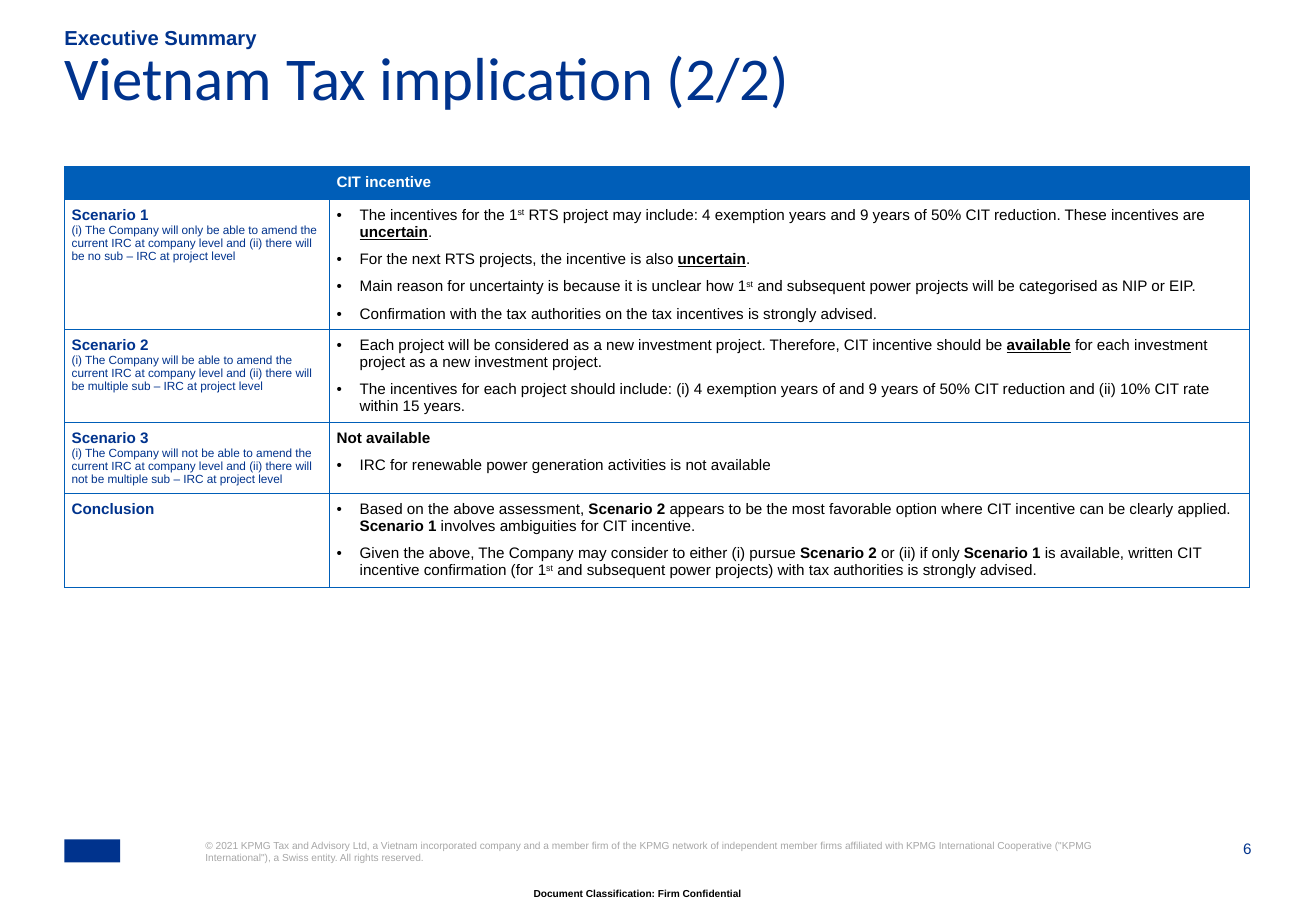
from lxml import etree
from pptx import Presentation, util as u
from pptx.dml.color import RGBColor
from pptx.enum import shapes, text
from pptx.oxml.ns import qn

NAVY, BLUE, WHITE, BLACK, GREY = "00338D", "005EB8", "FFFFFF", "000000", "A6A6A6"
LEFT, CONTENT_WIDTH = 0.53, 9.75
INSET, BULLET_INDENT = 0.06, 0.19

# Each detail paragraph is (has bullet, runs); a run is (text, style letters):
# b bold, u underlined, s superscript
SCENARIOS = [
    ("Scenario 1",
     "(i) The Company will only be able to amend the current IRC at company level "
     "and (ii) there will be no sub – IRC at project level",
     [(True, [("The incentives for the 1", ""), ("st", "s"),
              (" RTS project may include: 4 exemption years and 9 years of 50% CIT "
               "reduction. These incentives are ", ""), ("uncertain", "bu"), (".", "")]),
      (True, [("For the next RTS projects, the incentive is also ", ""),
              ("uncertain", "bu"), (".", "")]),
      (True, [("Main reason for uncertainty is because it is unclear how 1", ""), ("st", "s"),
              (" and subsequent power projects will be categorised as NIP or EIP.", "")]),
      (True, [("Confirmation with the tax authorities on the tax incentives is strongly "
               "advised.", "")])]),
    ("Scenario 2",
     "(i) The Company will be able to amend the current IRC at company level "
     "and (ii) there will be multiple sub – IRC at project level",
     [(True, [("Each project will be considered as a new investment project. Therefore, CIT "
               "incentive should be ", ""), ("available", "bu"),
              (" for each investment project as a new investment project.", "")]),
      (True, [("The incentives for each project should include: (i) 4 exemption years of and "
               "9 years of 50% CIT reduction and (ii) 10% CIT rate within 15 years.", "")])]),
    ("Scenario 3",
     "(i) The Company will not be able to amend the current IRC at company level "
     "and (ii) there will not be multiple sub – IRC at project level",
     [(False, [("Not available", "b")]),
      (True, [("IRC for renewable power generation activities is not available", "")])]),
    ("Conclusion", "",
     [(True, [("Based on the above assessment, ", ""), ("Scenario 2", "b"),
              (" appears to be the most favorable option where CIT incentive can be clearly "
               "applied. ", ""), ("Scenario 1 ", "b"),
              ("involves ambiguities for CIT incentive.", "")]),
      (True, [("Given the above, The Company may consider to either (i) pursue ", ""),
              ("Scenario 2", "b"), (" or (ii) if only ", ""), ("Scenario 1", "b"),
              (" is available, written CIT incentive confirmation (for 1", ""), ("st", "s"),
              (" and subsequent power projects) with tax authorities is strongly advised.", "")])]),
]


def rgb(color):
    return RGBColor.from_string(color)


def format_run(run, size, color, bold=False, font="Arial"):
    run.font.size, run.font.name, run.font.bold = u.Pt(size), font, bold
    run.font.color.rgb = rgb(color)


def place(shape, box):
    shape.left, shape.top, shape.width, shape.height = map(u.Inches, box)


def fill_text(shape, words, size, color, bold=False, font="Arial",
              align=text.PP_ALIGN.LEFT, anchor=text.MSO_ANCHOR.TOP):
    """Put one paragraph in a frame without margins."""
    frame = shape.text_frame
    frame.text = words
    frame.word_wrap, frame.auto_size = True, text.MSO_AUTO_SIZE.NONE
    frame.margin_left = frame.margin_right = frame.margin_top = frame.margin_bottom = 0
    frame.vertical_anchor = anchor
    paragraph = frame.paragraphs[0]
    paragraph.alignment = align
    paragraph.space_before = u.Pt(0)
    format_run(paragraph.runs[0], size, color, bold, font)
    return paragraph


def set_bullet(paragraph, character=None):
    properties = paragraph._p.get_or_add_pPr()
    indent = u.Inches(BULLET_INDENT) if character else 0
    properties.set("marL", str(indent))
    properties.set("indent", str(-indent))
    if character:
        etree.SubElement(properties, qn("a:buFont")).set("typeface", "Arial")
        etree.SubElement(properties, qn("a:buChar")).set("char", character)
    else:
        etree.SubElement(properties, qn("a:buNone"))


def style_cell(cell, fill):
    cell.margin_left = cell.margin_right = u.Inches(INSET)
    cell.margin_top = cell.margin_bottom = u.Inches(INSET)
    properties = cell._tc.get_or_add_tcPr()
    for side in ("a:lnL", "a:lnR", "a:lnT", "a:lnB"):
        line = etree.SubElement(properties, qn(side), w=str(u.Pt(0.5)))
        line_fill = etree.SubElement(line, qn("a:solidFill"))
        etree.SubElement(line_fill, qn("a:srgbClr"), val=BLUE)
    cell.fill.solid()
    cell.fill.fore_color.rgb = rgb(fill)


def write_label(cell, name, condition):
    cell.text_frame.text = f"{name}\n{condition}" if condition else name
    sizes = ((9, True), (7, False))
    for paragraph, (size, bold) in zip(cell.text_frame.paragraphs, sizes):
        format_run(paragraph.runs[0], size, NAVY, bold)


def write_details(cell, details):
    frame = cell.text_frame
    for number, (has_bullet, runs) in enumerate(details):
        paragraph = frame.add_paragraph() if number else frame.paragraphs[0]
        if has_bullet:
            set_bullet(paragraph, "•")
        paragraph.space_after = u.Pt(6)
        for words, style in runs:
            run = paragraph.add_run()
            run.text = words
            format_run(run, 9, BLACK, "b" in style)
            run.font.underline = "u" in style
            if "s" in style:
                run._r.get_or_add_rPr().set("baseline", "30000")


def add_heading(slide, left, top, width):
    title, kicker = slide.placeholders[0], slide.placeholders[1]
    place(title, (left, top + 0.27, width, 0.79))
    paragraph = fill_text(title, "Vietnam Tax implication (2/2)", 36, NAVY, font="Calibri")
    paragraph.line_spacing = 0.7
    place(kicker, (left, top, width - 0.35, 0.19))
    paragraph = fill_text(kicker, "Executive Summary", 12, NAVY, bold=True,
                          anchor=text.MSO_ANCHOR.BOTTOM)
    set_bullet(paragraph)


def add_scenario_table(slide, left, top, width):
    heights = (0.26, 1.07, 0.76, 0.58, 0.77)
    label_width = 2.18
    box = map(u.Inches, (left, top, width, sum(heights)))
    table = slide.shapes.add_table(len(heights), 2, *box).table
    table.columns[0].width = u.Inches(label_width)
    table.columns[1].width = u.Inches(width - label_width)
    for number, height in enumerate(heights):
        table.rows[number].height = u.Inches(height)
        for cell in table.rows[number].cells:
            style_cell(cell, WHITE if number else BLUE)

    # Header row
    blank, header = table.rows[0].cells
    etree.SubElement(blank.text_frame.paragraphs[0]._p, qn("a:endParaRPr"), sz="900")
    header.text_frame.text = "CIT incentive"
    format_run(header.text_frame.paragraphs[0].runs[0], 9, WHITE, True)

    # Scenario rows
    for number, (name, condition, details) in enumerate(SCENARIOS, 1):
        write_label(table.cell(number, 0), name, condition)
        write_details(table.cell(number, 1), details)


def add_footer(slide, left, top, width):
    # Plain block in the logo's place
    block = slide.shapes.add_shape(shapes.MSO_SHAPE.RECTANGLE,
                                   *map(u.Inches, (left, top, 0.46, 0.19)))
    block.shadow.inherit = False
    block.fill.solid()
    block.fill.fore_color.rgb = rgb(NAVY)
    block.line.fill.background()

    # Copyright, classification and page number
    align = text.PP_ALIGN
    notices = [
        ((left + 1.16, top, 7.49, 0.41),
         "© 2021 KPMG Tax and Advisory Ltd, a Vietnam incorporated company and a member firm of "
         "the KPMG network of independent member firms affiliated with KPMG International "
         "Cooperative (\"KPMG International\"), a Swiss entity. All rights reserved.",
         6, GREY, False, align.LEFT),
        ((left + 1.47, top + 0.4, 6.49, 0.13), "Document Classification: Firm Confidential",
         6, BLACK, True, align.CENTER),
        ((left + width - 0.41, top, 0.43, 0.16), "6", 9, NAVY, False, align.RIGHT),
    ]
    for box, words, size, color, bold, alignment in notices:
        shape = slide.shapes.add_textbox(*map(u.Inches, box))
        fill_text(shape, words, size, color, bold, align=alignment)


def main():
    presentation = Presentation()
    presentation.slide_width, presentation.slide_height = u.Inches(10.83), u.Inches(7.5)
    slide = presentation.slides.add_slide(presentation.slide_layouts[1])
    add_heading(slide, LEFT, 0.22, CONTENT_WIDTH)
    add_scenario_table(slide, LEFT, 1.37, CONTENT_WIDTH)
    add_footer(slide, LEFT, 6.91, CONTENT_WIDTH)
    presentation.save("out.pptx")


if __name__ == "__main__":
    main()
